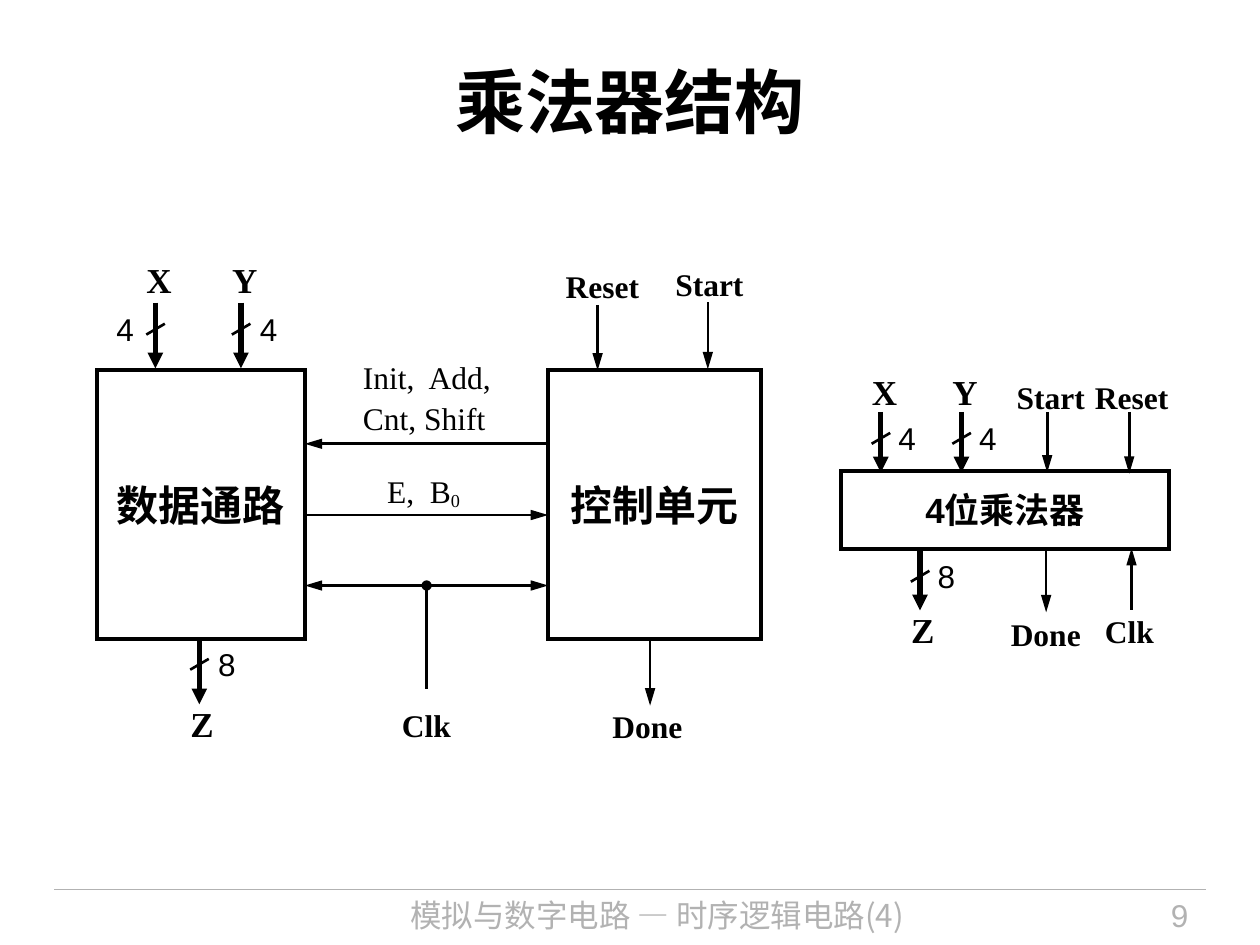
from pptx import Presentation
from pptx.dml.color import RGBColor
from pptx.enum.shapes import MSO_CONNECTOR, MSO_SHAPE
from pptx.enum.text import MSO_ANCHOR, PP_ALIGN
from pptx.oxml.ns import qn
from pptx.util import Pt
from lxml.etree import SubElement

INK = {"black": "000000", "gray": "B2B2B2"}
SANS, SERIF, HAN = "Arial", "Times New Roman", "Noto Sans CJK SC"
TITLE = "乘法器结构"
FOOT = [
    ("模拟与数字电路 — 时序逻辑电路(4)", 172.8, 405.4, HAN, PP_ALIGN.CENTER),
    ("9", 590.4, 95.8, SANS, PP_ALIGN.RIGHT),
]
BOXES = [
    ("数据通路", 55.4, 211.7, 118.8, 153.4, 24),
    ("控制单元", 313.2, 211.7, 121.7, 153.4, 24),
    ("4位乘法器", 480.7, 269.3, 187.4, 44.2, 20),
]
BUSES = [
    ("X", 88.8, 173, 37.5, 150.5, "4", -22.3),
    ("Y", 137.7, 173, 37.5, 150.5, "4", 10.8),
    ("Z", 113.9, 364.5, 38, 403.9, "8", 10.8),
    ("X", 503.3, 235.4, 34.6, 214.6, "4", 10.1),
    ("Y", 549.4, 235.4, 34.6, 214.6, "4", 10.1),
    ("Z", 525.7, 314.2, 34.6, 350.6, "8", 10.1),
]
WIDE = {"Reset": 45, "Start": 42, "Done": 43, "Clk": 31}
PINS = [
    ("Reset", 323.3, 150.5, 341.5, 174.2, 211.7),
    ("Start", 385.9, 149.3, 404.5, 172.8, 211),
    ("Done", 349.9, 401.8, 371.5, 364.5, 403.2),
    ("Start", 581, 213.8, 598.4, 235.4, 270),
    ("Reset", 625.7, 213.8, 645.3, 235.4, 270.7),
    ("Done", 577.6, 349.2, 597.8, 314.2, 349.9),
    ("Clk", 631.4, 347.8, 646.6, 348.5, 313.2),
]
LINKS = [
    (253.6, None, "triangle"),
    (294.3, "triangle", None),
    (334.6, "triangle", "triangle"),
]
NOTES = [
    (["Init,\tAdd,", "Cnt, Shift"], 207.4, 202.3, 82, 47.5, 37.6),
    (["E,\tB"], 221.2, 267.8, 48, 23.8, 24.4),
]

deck = Presentation()
deck.slide_width, deck.slide_height = Pt(720), Pt(540)
slide = deck.slides.add_slide(deck.slide_layouts[5])
shapes = slide.shapes


def style(run, size, face, bold, ink):
    font = run.font
    font.size, font.name, font.bold = Pt(size), face, bold
    font.color.rgb = RGBColor.from_string(INK[ink])
    east = SubElement(font._element, qn("a:ea"))
    east.set("typeface", HAN)


def write(frame, lines, size=18, face=SERIF, bold=False, ink="black",
          align=PP_ALIGN.LEFT, gap=1.0, inset=(0, 0), wrap=False,
          anchor=MSO_ANCHOR.TOP, stop=None):
    frame.word_wrap, frame.vertical_anchor = wrap, anchor
    frame.margin_left = frame.margin_right = Pt(inset[0])
    frame.margin_top = frame.margin_bottom = Pt(inset[1])
    for i, line in enumerate(lines):
        para = frame.add_paragraph() if i else frame.paragraphs[0]
        para.alignment, para.line_spacing = align, gap
        if stop:
            tabs = SubElement(para._p.get_or_add_pPr(), qn("a:tabLst"))
            tab = SubElement(tabs, qn("a:tab"))
            tab.set("pos", str(int(Pt(stop))))
            tab.set("algn", "l")
        run = para.add_run()
        run.text = line
        style(run, size, face, bold, ink)
    return para


def label(lines, x, y, w, h, **form):
    box = shapes.add_textbox(Pt(x), Pt(y), Pt(w), Pt(h))
    return write(box.text_frame, lines, **form)


def wire(x1, y1, x2, y2, width=1.5, head=None, tail=None, ink="black"):
    line = shapes.add_connector(
        MSO_CONNECTOR.STRAIGHT, Pt(x1), Pt(y1), Pt(x2), Pt(y2))
    line.line.width = Pt(width)
    line.line.color.rgb = RGBColor.from_string(INK[ink])
    edge = line.line._get_or_add_ln()
    for tag, kind in (("a:headEnd", head), ("a:tailEnd", tail)):
        if kind:
            end = SubElement(edge, qn(tag))
            end.set("type", kind)
            long = kind == "triangle" and width < 3
            end.set("w", "med")
            end.set("len", "lg" if long else "med")
    SubElement(line._element.spPr, qn("a:effectLst"))


wire(31, 508.3, 689, 508.3, width=0.75, ink="gray")
for text, x, w, face, align in FOOT:
    label([text], x, 508.3, w, 31.7, face=face, ink="gray", align=align,
          inset=(7.2, 3.6), wrap=True)

title = shapes.title
title.left, title.top, title.width, title.height = (
    Pt(36), Pt(12.2), Pt(648), Pt(90))
write(title.text_frame, [TITLE], size=40, face=HAN, bold=True, wrap=True,
      align=PP_ALIGN.CENTER, inset=(7.2, 3.6), anchor=MSO_ANCHOR.MIDDLE)

for text, x, y, w, h, size in BOXES:
    box = shapes.add_shape(MSO_SHAPE.RECTANGLE, Pt(x), Pt(y), Pt(w), Pt(h))
    box.shadow.inherit = False
    box.fill.background()
    box.line.width = Pt(2.25)
    box.line.color.rgb = RGBColor.from_string(INK["black"])
    SubElement(box.line._get_or_add_ln(), qn("a:miter")).set("lim", "800000")
    write(box.text_frame, [text], size=size, face=SANS, bold=True,
          align=PP_ALIGN.CENTER, inset=(7.2, 3.6), anchor=MSO_ANCHOR.MIDDLE)

for name, x, y, size, top, bits, shift in BUSES:
    wire(x, y, x, y + size, width=3, tail="triangle")
    wire(x + 5.4, y + 12, x - 5.2, y + 18.2)
    label([name], x - 5.1, top, 16, 21.6, size=20, bold=True, gap=0.9)
    label([bits], x + shift, y + 6.5, 12, 19.4, face=SANS, gap=0.9)

for name, left, top, x, y1, y2 in PINS:
    wire(x, y1, x, y2, tail="triangle")
    label([name], left, top, WIDE[name], 23.8, bold=True, gap=1.1)

x1, x2 = BOXES[1][1], BOXES[0][1] + BOXES[0][3]
for y, head, tail in LINKS:
    wire(x1, y, x2, y, head=head, tail=tail)
wire(243.8, 334.6, 243.8, 393.8, head="oval")
label(["Clk"], 229.7, 401.2, WIDE["Clk"], 23.8, bold=True, gap=1.1)

for lines, x, y, w, h, stop in NOTES:
    para = label(lines, x, y, w, h, gap=1.1, stop=stop)
sub = para.add_run()
sub.text = "0"
style(sub, 18, SERIF, False, "black")
sub.font._element.set("baseline", "-10000")

deck.save("out.pptx")
